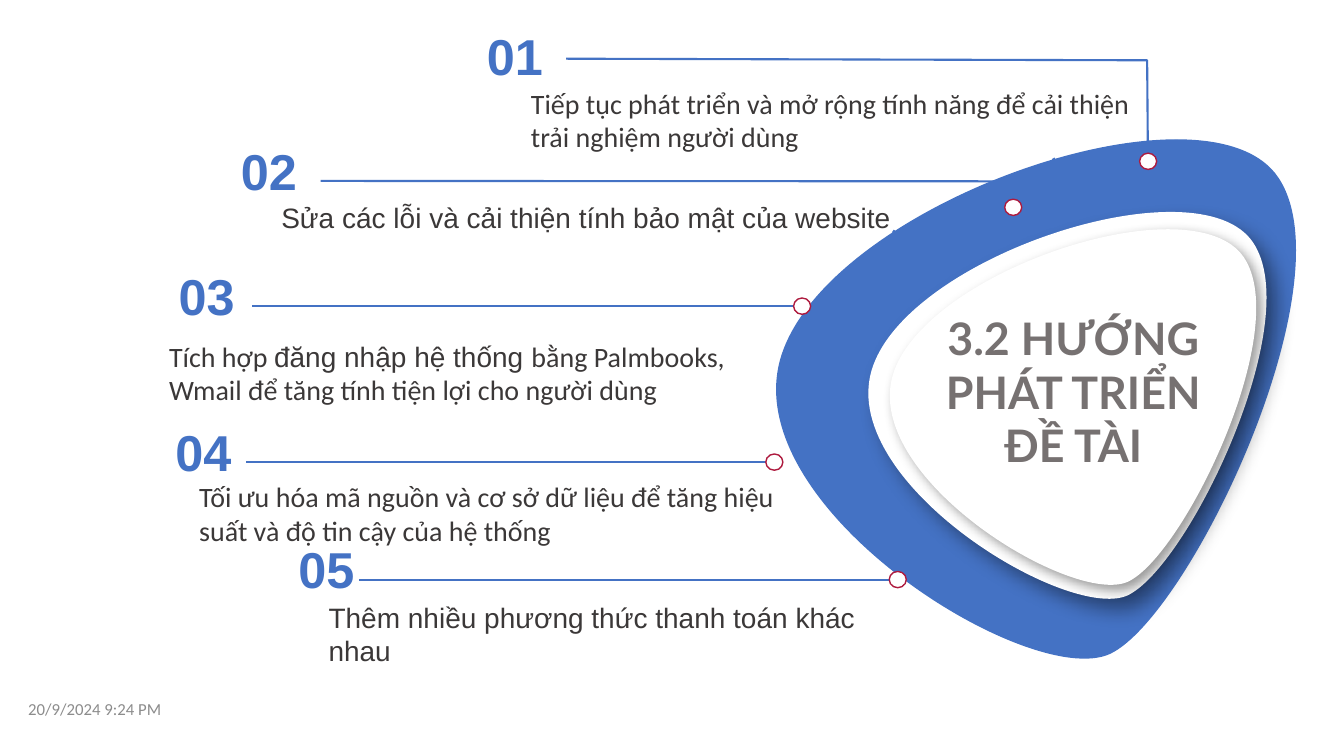
from dataclasses import dataclass
from math import cos, radians, sin

from lxml import etree
from pptx import Presentation
from pptx.dml.color import RGBColor
from pptx.enum import shapes, text
from pptx.oxml.ns import qn
from pptx.shapes.autoshape import Shape
from pptx.shapes.connector import Connector
from pptx.slide import Slide
from pptx.util import Cm, Pt

Point = tuple[float, float]
Span = tuple[str, str]


@dataclass(frozen=True)
class Theme:
    blue: str = "4472C4"
    white: str = "FFFFFF"
    red: str = "AE1A3E"
    body: str = "3B3838"
    title: str = "767171"
    date: str = "8C8C8C"
    body_font: str = "Calibri"
    number_font: str = "Arial"
    title_font: str = "Lato"
    date_size: int = 12
    body_size: int = 20
    title_size: int = 32
    number_size: int = 36


@dataclass(frozen=True)
class Area:
    left: float
    top: float
    width: float
    height: float


@dataclass(frozen=True)
class Shadow:
    blur: int
    distance: int


@dataclass(frozen=True)
class Blob:
    area: Area
    start: Point
    curves: tuple[tuple[Point, Point, Point], ...]
    fill: str
    shadow: Shadow | None = None


@dataclass(frozen=True)
class Direction:
    number: Area
    description: Area
    spans: tuple[Span, ...]
    dot: Point
    leader: tuple[Point, ...]


THEME = Theme()
DOT_WIDTH, DOT_HEIGHT = 0.43, 0.41
BLOB_TURN = 109.6
CALIBRI, ARIAL = THEME.body_font, THEME.number_font

BLOBS = (
    Blob(Area(19.15, 3.18, 13.59, 11.86), (32.21, 4.5), (
        ((30.48, 1.85), (21.11, 5.05), (19.74, 8.86)),
        ((18.36, 12.65), (25.96, 17.4), (27.97, 16.46)),
        ((29.95, 15.52), (33.96, 7.16), (32.21, 4.5)),
    ), THEME.blue),
    Blob(Area(21.72, 4.88, 10.13, 9.17), (31.57, 6.1), (
        ((30.2, 4.09), (23.01, 6.4), (22, 9.22)),
        ((20.98, 12.07), (26.87, 15.67), (28.4, 15.01)),
        ((29.92, 14.33), (32.94, 8.08), (31.57, 6.1)),
    ), THEME.white, Shadow(14, 10)),
    Blob(Area(22.28, 5.36, 9.3, 8.43), (31.34, 6.48), (
        ((30.07, 4.62), (23.47, 6.76), (22.53, 9.35)),
        ((21.59, 11.96), (27.03, 15.29), (28.42, 14.66)),
        ((29.82, 14.02), (32.59, 8.31), (31.34, 6.48)),
    ), THEME.white, Shadow(9, 5)),
)

TICKS = (
    ((26.54, 3.99), (27.74, 5.97)),
    ((22.5, 5.82), (24.59, 7.32)),
    ((19.63, 9.83), (22.71, 9.83)),
)

DIRECTIONS = (
    Direction(Area(12.02, 0.51, 3.76, 1.8), Area(13.13, 2.05, 15.98, 1.96),
              (("Tiếp tục phát triển và mở rộng tính năng để cải thiện trải nghiệm người dùng", CALIBRI),),
              (28.72, 3.86), ((28.93, 4.04), (28.91, 1.52), (14.27, 1.48))),
    Direction(Area(5.82, 3.4, 3.73, 1.8), Area(6.84, 4.93, 15.88, 1.12),
              (("Sửa các lỗi và cải thiện tính bảo mật của website", ARIAL),),
              (25.32, 5.02), ((25.53, 5.18), (25.5, 4.57), (8.08, 4.56))),
    Direction(Area(4.25, 6.55, 2.87, 1.8), Area(4.01, 8.42, 15.77, 1.96),
              (("Tích hợp ", CALIBRI), ("đăng nhập hệ thống ", ARIAL),
               ("bằng Palmbooks, Wmail để tăng tính tiện lợi cho người dùng", CALIBRI)),
              (20, 7.51), ((20, 7.72), (6.35, 7.72))),
    Direction(Area(4.17, 10.49, 2.74, 1.8), Area(4.77, 11.96, 16.08, 1.96),
              (("Tối ưu hóa mã nguồn và cơ sở dữ liệu để tăng hiệu suất và độ tin cậy của hệ thống", CALIBRI),),
              (19.3, 11.44), ((19.3, 11.65), (6.2, 11.65))),
    Direction(Area(7.27, 13.44, 2.51, 1.8), Area(8.03, 15, 15.14, 1.96),
              (("Thêm nhiều phương thức thanh toán khác nhau", ARIAL),),
              (22.41, 14.4), ((22.41, 14.61), (9.04, 14.61))),
)


def rgb(color: str) -> RGBColor:
    return RGBColor.from_string(color)


def add_text(page: Slide, area: Area, spans: tuple[Span, ...], size: int, color: str,
             bold: bool = False) -> Shape:
    box = page.shapes.add_textbox(Cm(area.left), Cm(area.top), Cm(area.width), Cm(area.height))
    frame = box.text_frame
    frame.word_wrap = True
    frame.auto_size = text.MSO_AUTO_SIZE.SHAPE_TO_FIT_TEXT
    para = frame.paragraphs[0]
    for words, font in spans:
        span = para.add_run()
        span.text = words
        span.font.name = font
        span.font.size = Pt(size)
        span.font.bold = bold
        span.font.color.rgb = rgb(color)
    return box


def add_outline(page: Slide, points: tuple[Point, ...], closed: bool) -> Shape:
    corners = [(Cm(x), Cm(y)) for x, y in points]
    builder = page.shapes.build_freeform(*corners[0])
    builder.add_line_segments(corners[1:], close=closed)
    outline = builder.convert_to_shape()
    outline.shadow.inherit = False
    return outline


def add_line(page: Slide, start: Point, end: Point, weight: float) -> Connector:
    line = page.shapes.add_connector(
        shapes.MSO_CONNECTOR.STRAIGHT, Cm(start[0]), Cm(start[1]), Cm(end[0]), Cm(end[1]))
    line.line.color.rgb = rgb(THEME.blue)
    line.line.width = Pt(weight)
    etree.SubElement(line._element.spPr, qn("a:effectLst"))
    return line


def unturned(point: Point, area: Area) -> Point:
    across = point[0] - area.left - area.width / 2
    down = point[1] - area.top - area.height / 2
    turn = radians(BLOB_TURN)
    return (across * cos(turn) + down * sin(turn) + area.width / 2,
            down * cos(turn) - across * sin(turn) + area.height / 2)


def add_blob(page: Slide, blob: Blob) -> None:
    area = blob.area
    shape = add_outline(page, (blob.start, *(curve[-1] for curve in blob.curves)), closed=True)
    shape.left, shape.top = Cm(area.left), Cm(area.top)
    shape.width, shape.height = Cm(area.width), Cm(area.height)
    shape.rotation = BLOB_TURN
    outline = shape._element.spPr.find(".//" + qn("a:path"))
    outline.set("w", str(shape.width))
    outline.set("h", str(shape.height))
    for step in list(outline):
        outline.remove(step)
    steps = [("a:moveTo", (blob.start,)), *(("a:cubicBezTo", curve) for curve in blob.curves)]
    for tag, points in steps:
        step = etree.SubElement(outline, qn(tag))
        for point in points:
            x, y = unturned(point, area)
            etree.SubElement(step, qn("a:pt"), x=str(Cm(x)), y=str(Cm(y)))
    etree.SubElement(outline, qn("a:close"))
    shape.fill.solid()
    shape.fill.fore_color.rgb = rgb(blob.fill)
    if blob.shadow is None:
        shape.line.color.rgb = rgb(blob.fill)
        shape.line.width = Pt(1)
        return
    shape.line.fill.background()
    effects = shape._element.spPr.find(qn("a:effectLst"))
    outer = etree.SubElement(effects, qn("a:outerShdw"), blurRad=str(Pt(blob.shadow.blur)),
                             dist=str(Pt(blob.shadow.distance)), dir="2700000", rotWithShape="0")
    color = etree.SubElement(outer, qn("a:srgbClr"), val="000000")
    etree.SubElement(color, qn("a:alpha"), val="40000")


def add_direction(page: Slide, number: int, item: Direction) -> None:
    add_text(page, item.description, item.spans, THEME.body_size, THEME.body)
    add_text(page, item.number, ((f"{number:02}", THEME.number_font),),
             THEME.number_size, THEME.blue, bold=True)
    if len(item.leader) == 2:
        add_line(page, *item.leader, 1.5)
    else:
        leader = add_outline(page, item.leader, closed=False)
        leader.fill.background()
        leader.line.color.rgb = rgb(THEME.blue)
        leader.line.width = Pt(1.5)
    dot = page.shapes.add_shape(shapes.MSO_SHAPE.OVAL, Cm(item.dot[0]), Cm(item.dot[1]),
                                Cm(DOT_WIDTH), Cm(DOT_HEIGHT))
    dot.shadow.inherit = False
    dot.fill.solid()
    dot.fill.fore_color.rgb = rgb(THEME.white)
    dot.line.color.rgb = rgb(THEME.red)
    dot.line.width = Pt(1)


def main() -> None:
    deck = Presentation()
    deck.slide_width, deck.slide_height = Cm(33.87), Cm(19.05)
    page = deck.slides.add_slide(deck.slide_layouts[6])
    date = add_text(page, Area(0.46, 17.35, 7.62, 1.02), (("20/9/2024 9:24 PM", CALIBRI),),
                    THEME.date_size, THEME.date)
    date.text_frame.auto_size = text.MSO_AUTO_SIZE.NONE
    date.text_frame.vertical_anchor = text.MSO_ANCHOR.MIDDLE
    ring, *plates = BLOBS
    add_blob(page, ring)
    for start, end in TICKS:
        add_line(page, start, end, 2.25)
    for plate in plates:
        add_blob(page, plate)
    for number, item in enumerate(DIRECTIONS, 1):
        add_direction(page, number, item)
    title = add_text(page, Area(22.86, 7.7, 8.38, 4.37),
                     (("3.2 HƯỚNG PHÁT TRIỂN ĐỀ TÀI", THEME.title_font),),
                     THEME.title_size, THEME.title, bold=True)
    title.text_frame.paragraphs[0].alignment = text.PP_ALIGN.CENTER
    deck.save("out.pptx")


if __name__ == "__main__":
    main()
